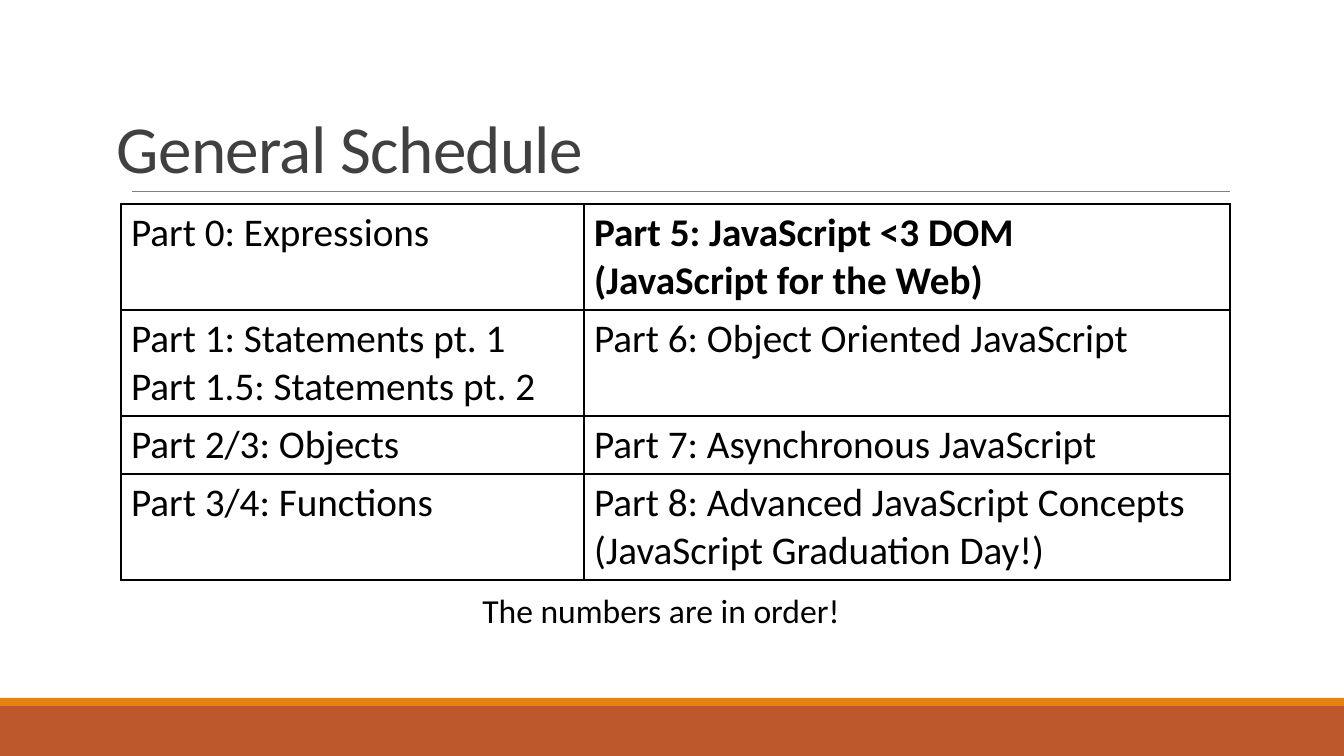
import pptx
import pptx.util
import pptx.dml.color
import pptx.enum.shapes
import pptx.enum.text
import pptx.oxml.ns
import lxml.etree

TITLE = "General Schedule"
CAPTION = "The numbers are in order!"
SCHEDULE = [
    ("Part 0: Expressions", "Part 5: JavaScript <3 DOM\v(JavaScript for the Web)"),
    ("Part 1: Statements pt. 1\vPart 1.5: Statements pt. 2", "Part 6: Object Oriented JavaScript"),
    ("Part 2/3: Objects", "Part 7: Asynchronous JavaScript"),
    ("Part 3/4: Functions", "Part 8: Advanced JavaScript Concepts\v(JavaScript Graduation Day!)"),
]
CURRENT = (0, 1)

THEME = {
    "font": "Calibri",
    "title": {"size": 48, "color": "404040"},
    "cell": {"size": 28, "color": "000000"},
    "caption": {"size": 24, "color": "000000"},
    "rule": "808080",
    "border": "000000",
}
BANDS = [(706, 50, "BD582C"), (698, 8, "E48312")]
WIDTH, HEIGHT = 1344, 756
RULE = (132, 191, 1230, 191)
TITLE_BOX = (107, 32, 1109, 160)
CAPTION_BOX = (152, 585, 1018, 50)
TABLE_LEFT, TABLE_TOP = 121, 204
COLUMNS = (463, 646)
LINE_HEIGHT, CELL_PAD = 48, 10

Align = pptx.enum.text.PP_ALIGN
Anchor = pptx.enum.text.MSO_ANCHOR


def px(*lengths):
    return [round(n * 914400 / 100.8) for n in lengths]


def rgb(code):
    return pptx.dml.color.RGBColor.from_string(code)


def style(p, look, bold=False):
    values = {"name": THEME["font"], "size": pptx.util.Pt(look["size"]), "bold": bold}
    for r in p.runs:
        for key, value in values.items():
            setattr(r.font, key, value)
        r.font.color.rgb = rgb(look["color"])


def add_text(s, box, text, look, frame, para):
    tf = s.shapes.add_textbox(*px(*box)).text_frame
    p = tf.paragraphs[0]
    p.text = text
    for target, values in ((tf, frame), (p, para)):
        for key, value in values.items():
            setattr(target, key, value)
    style(p, look)
    return p


def add_borders(cell):
    tcPr = cell._tc.get_or_add_tcPr()
    qn = pptx.oxml.ns.qn
    for i, side in enumerate(("lnL", "lnR", "lnT", "lnB")):
        ln = lxml.etree.Element(qn("a:" + side), w=str(pptx.util.Pt(1)))
        fill = lxml.etree.SubElement(ln, qn("a:solidFill"))
        lxml.etree.SubElement(fill, qn("a:srgbClr"), val=THEME["border"])
        tcPr.insert(i, ln)


def add_schedule(s):
    heights = [LINE_HEIGHT * (1 + max(t.count("\v") for t in row)) + CELL_PAD for row in SCHEDULE]
    box = px(TABLE_LEFT, TABLE_TOP, sum(COLUMNS), sum(heights))
    table = s.shapes.add_table(len(SCHEDULE), len(COLUMNS), *box).table
    table.first_row = table.horz_banding = False
    for column, width in zip(table.columns, px(*COLUMNS)):
        column.width = width
    for i, (row, height) in enumerate(zip(table.rows, px(*heights))):
        row.height = height
        for j, cell in enumerate(row.cells):
            p = cell.text_frame.paragraphs[0]
            p.text = SCHEDULE[i][j]
            style(p, THEME["cell"], (i, j) == CURRENT)
            cell.fill.background()
            add_borders(cell)


def main():
    prs = pptx.Presentation()
    prs.slide_width, prs.slide_height = px(WIDTH, HEIGHT)
    s = prs.slides.add_slide(prs.slide_layouts[6])

    for top, height, color in BANDS:
        sp = s.shapes.add_shape(pptx.enum.shapes.MSO_SHAPE.RECTANGLE, *px(0, top, WIDTH, height))
        sp.shadow.inherit = False
        sp.fill.solid()
        sp.fill.fore_color.rgb = rgb(color)
        sp.line.fill.background()

    rule = s.shapes.add_connector(pptx.enum.shapes.MSO_CONNECTOR.STRAIGHT, *px(*RULE))
    rule.line.color.rgb = rgb(THEME["rule"])
    rule.line.width = pptx.util.Pt(0.5)
    lxml.etree.SubElement(rule._element.spPr, pptx.oxml.ns.qn("a:effectLst"))

    p = add_text(s, TITLE_BOX, TITLE, THEME["title"],
                 {"word_wrap": True, "vertical_anchor": Anchor.BOTTOM}, {"line_spacing": 0.85})
    p.runs[0].font._element.set("spc", "-50")
    add_schedule(s)
    add_text(s, CAPTION_BOX, CAPTION, THEME["caption"],
             {"word_wrap": True, "auto_size": pptx.enum.text.MSO_AUTO_SIZE.SHAPE_TO_FIT_TEXT},
             {"alignment": Align.CENTER})
    prs.save("out.pptx")


if __name__ == "__main__":
    main()
